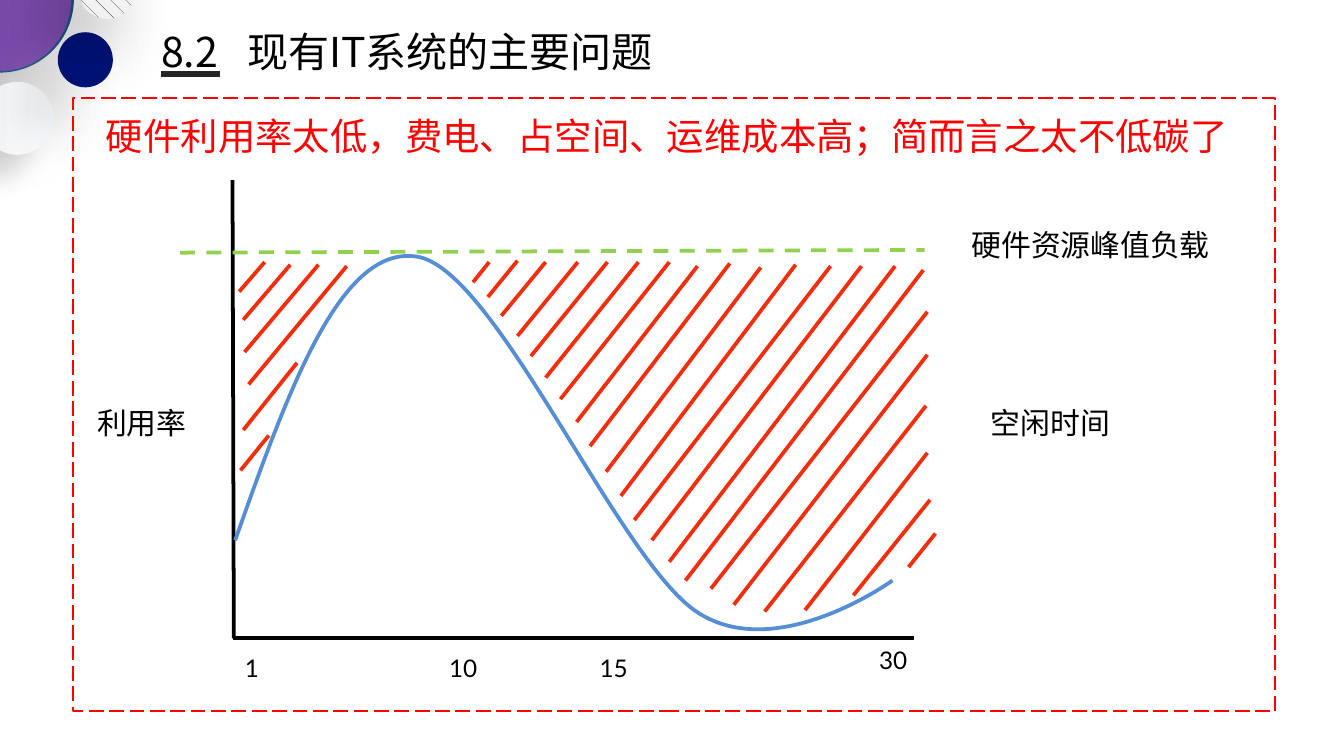
from lxml.etree import SubElement
from pptx import Presentation
from pptx.dml.color import RGBColor
from pptx.enum.dml import MSO_LINE_DASH_STYLE as Dash, MSO_PATTERN_TYPE as Pattern
from pptx.enum.shapes import MSO_CONNECTOR as Link, MSO_SHAPE as Shape
from pptx.enum.text import PP_ALIGN as Align
from pptx.oxml.ns import qn
from pptx.util import Cm, Pt

HAN, LATIN = "Noto Sans CJK SC", "Lato"
BLACK, RED, HATCH = "000000", "FF0000", "F42D0C"
SHINGLE = (Pattern.SHINGLE, "404040", "F2F2F2")
PALE = ("F7FAFD", "F4F5F7")

CIRCLES = [
    (-0.55, -0.56, 1.1, 0, (Pattern.PERCENT_5, "26688F", "195382"), (BLACK, 40, 52, 32)),
    (-0.54, -0.54, 1.07, 0, "7A4AAA", None),
    (-0.14, 0.61, 0.54, 270, PALE, (BLACK, 14, 14, 18)),
    (-0.12, 0.62, 0.51, 270, PALE, None),
    (0.43, 0.24, 0.41, 0, "001279", ("AFABAB", 40, 27, 29)),
    (0.59, -0.28, 0.42, 11.1, SHINGLE, (BLACK, 40, 38, 19)),
    (0.59, -0.27, 0.41, 11.1, SHINGLE, None),
]
FRAME = (0.54, 0.73, 8.95, 4.56)
TITLE = ("8.2\t现有IT系统的主要问题", 1.15, 0.17, 5.34, 0.42)
HEADLINE = ("硬件利用率太低，费电、占空间、运维成本高；简而言之太不低碳了", 0.69, 0.79, 8.67, 0.44)
LABELS = [
    ("利用率", 0.55, 2.96, 1.01),
    ("硬件资源峰值负载", 6.67, 1.64, 2.89),
    ("空闲时间", 7.12, 2.96, 1.39),
]
TICKS = [("1", 1.37, 4.81), ("10", 2.94, 4.81), ("15", 4.06, 4.81), ("30", 6.14, 4.75)]
AXES = [(1.73, 1.34, 1.74, 4.75), (6.8, 4.75, 1.73, 4.75)]
UNDERLINE = (1.2, 0.55, 1.64, 0.55)
PEAK = (1.34, 1.88, 6.88, 1.86)
LOAD_CURVE = [
    (1.75, 4.02),
    (2.14, 2.92), (2.53, 1.82), (3.1, 1.91),
    (3.68, 1.99), (4.59, 4.15), (5.18, 4.55),
    (5.77, 4.95), (6.64, 4.32), (6.64, 4.32),
]
IDLE_STROKES = [
    (1.97, 1.95, 1.78, 2.17), (2.16, 1.97, 1.81, 2.38), (2.37, 1.97, 1.82, 2.62),
    (2.58, 1.98, 1.85, 2.86), (2.21, 2.7, 1.81, 3.2), (2, 3.24, 1.79, 3.5),
    (3.64, 1.95, 3.52, 2.1), (3.85, 1.94, 3.63, 2.21), (4.06, 1.95, 3.73, 2.35),
    (4.3, 1.95, 3.85, 2.5), (4.52, 1.95, 3.95, 2.65), (4.75, 1.95, 4.06, 2.81),
    (4.98, 1.95, 4.17, 2.97), (5.19, 1.98, 4.29, 3.14), (5.43, 1.96, 4.39, 3.32),
    (5.66, 1.99, 4.51, 3.51), (5.92, 1.97, 4.62, 3.69), (6.18, 1.98, 4.72, 3.87),
    (6.41, 1.98, 4.85, 4.02), (6.66, 1.98, 4.98, 4.18), (6.87, 2.01, 5.1, 4.32),
    (6.9, 2.32, 5.29, 4.38), (6.9, 2.64, 5.46, 4.5), (6.89, 3.02, 5.69, 4.55),
    (6.9, 3.37, 5.99, 4.54), (6.92, 3.72, 6.35, 4.43), (6.96, 3.97, 6.76, 4.22),
]


def inches(*values):
    return [Cm(value * 2.54) for value in values]


def color(code):
    return RGBColor.from_string(code)


def stroke(line, code, width, dash=None):
    line.color.rgb = color(code)
    line.width = Pt(width)
    if dash:
        line.dash_style = dash


def paint(fill, style):
    if isinstance(style, str):
        fill.solid()
        fill.fore_color.rgb = color(style)
    elif len(style) == 3:
        fill.patterned()
        fill.pattern = style[0]
        fill.fore_color.rgb, fill.back_color.rgb = color(style[1]), color(style[2])
    else:
        fill.gradient()
        fill.gradient_angle = 90
        for stop, code in zip(fill.gradient_stops, style):
            stop.color.rgb = color(code)


def cast_shadow(shape, code, alpha, blur, distance):
    effects = shape._element.spPr.find(qn("a:effectLst"))
    outer = SubElement(effects, qn("a:outerShdw"), blurRad=str(Pt(blur)),
                       dist=str(Pt(distance)), dir=str(135 * 60000), algn="ctr", rotWithShape="0")
    tint = SubElement(outer, qn("a:srgbClr"), val=code)
    SubElement(tint, qn("a:alpha"), val=str(alpha * 1000))


def add_circle(page, left, top, size, turn, style, shadow):
    circle = page.shapes.add_shape(Shape.OVAL, *inches(left, top, size, size))
    circle.rotation = turn
    circle.shadow.inherit = False
    circle.line.fill.background()
    paint(circle.fill, style)
    if shadow:
        cast_shadow(circle, *shadow)


def add_line(page, ends, code, width, dash=None):
    line = page.shapes.add_connector(Link.STRAIGHT, *inches(*ends))
    stroke(line.line, code, width, dash)
    SubElement(line._element.spPr, qn("a:effectLst"))


def add_text(page, text, left, top, width, height, size, font=HAN, code=BLACK,
             align=Align.CENTER, tab=None):
    box = page.shapes.add_textbox(*inches(left, top, width, height))
    frame = box.text_frame
    frame.word_wrap = True
    para = frame.paragraphs[0]
    para.alignment = align
    if tab:
        stops = SubElement(para._p.get_or_add_pPr(), qn("a:tabLst"))
        SubElement(stops, qn("a:tab"), pos=str(inches(tab)[0]), algn="l")
    span = para.add_run()
    span.text = text
    span.font.size = Pt(size)
    span.font.name = font
    span.font.color.rgb = color(code)
    SubElement(span._r.get_or_add_rPr(), qn("a:ea"), typeface=font)
    return frame


def add_curve(page, points):
    corners = [inches(*point) for point in points]
    builder = page.shapes.build_freeform(*corners[0])
    builder.add_line_segments(corners[1:], close=False)
    curve = builder.convert_to_shape()
    curve.shadow.inherit = False
    curve.fill.background()
    stroke(curve.line, "558ED5", 2)
    outline = next(curve._element.iter(qn("a:path")))
    segments = outline.findall(qn("a:lnTo"))
    for start in range(0, len(segments), 3):
        bend = SubElement(outline, qn("a:cubicBezTo"))
        for segment in segments[start:start + 3]:
            bend.append(segment[0])
            outline.remove(segment)


def main():
    deck = Presentation()
    deck.slide_width = Cm(25.4)
    deck.slide_height = deck.slide_width * 9 // 16
    page = deck.slides.add_slide(deck.slide_layouts[6])
    for circle in CIRCLES:
        add_circle(page, *circle)

    border = page.shapes.add_shape(Shape.RECTANGLE, *inches(*FRAME))
    border.shadow.inherit = False
    border.fill.background()
    stroke(border.line, RED, 1, Dash.LONG_DASH)

    title = add_text(page, *TITLE, 22, align=Align.LEFT, tab=0.64)
    title.margin_left, title.margin_top, title.margin_right, title.margin_bottom = inches(
        0.05, 0.03, 0.05, 0.03)
    add_line(page, UNDERLINE, "262626", 3)
    add_text(page, *HEADLINE, 20, code=RED, align=Align.LEFT)

    for axis in AXES:
        add_line(page, axis, BLACK, 2)
    add_curve(page, LOAD_CURVE)
    for text, left, top in TICKS:
        add_text(page, text, left, top, 1.01, 0.4, 13, LATIN)
    add_line(page, PEAK, "92D050", 2, Dash.DASH)
    for ends in IDLE_STROKES:
        add_line(page, ends, HATCH, 2)
    for text, left, top, width in LABELS:
        add_text(page, text, left, top, width, 0.37, 16)
    deck.save("out.pptx")


if __name__ == "__main__":
    main()
